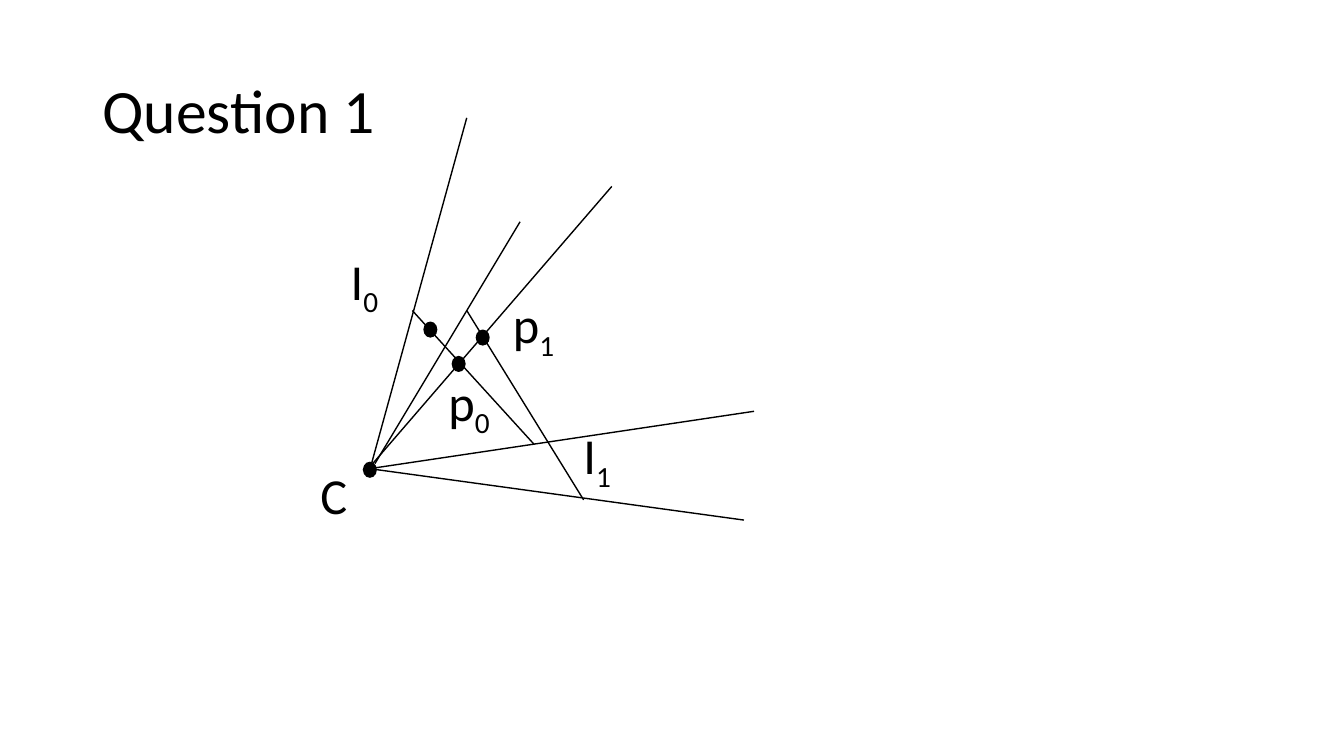
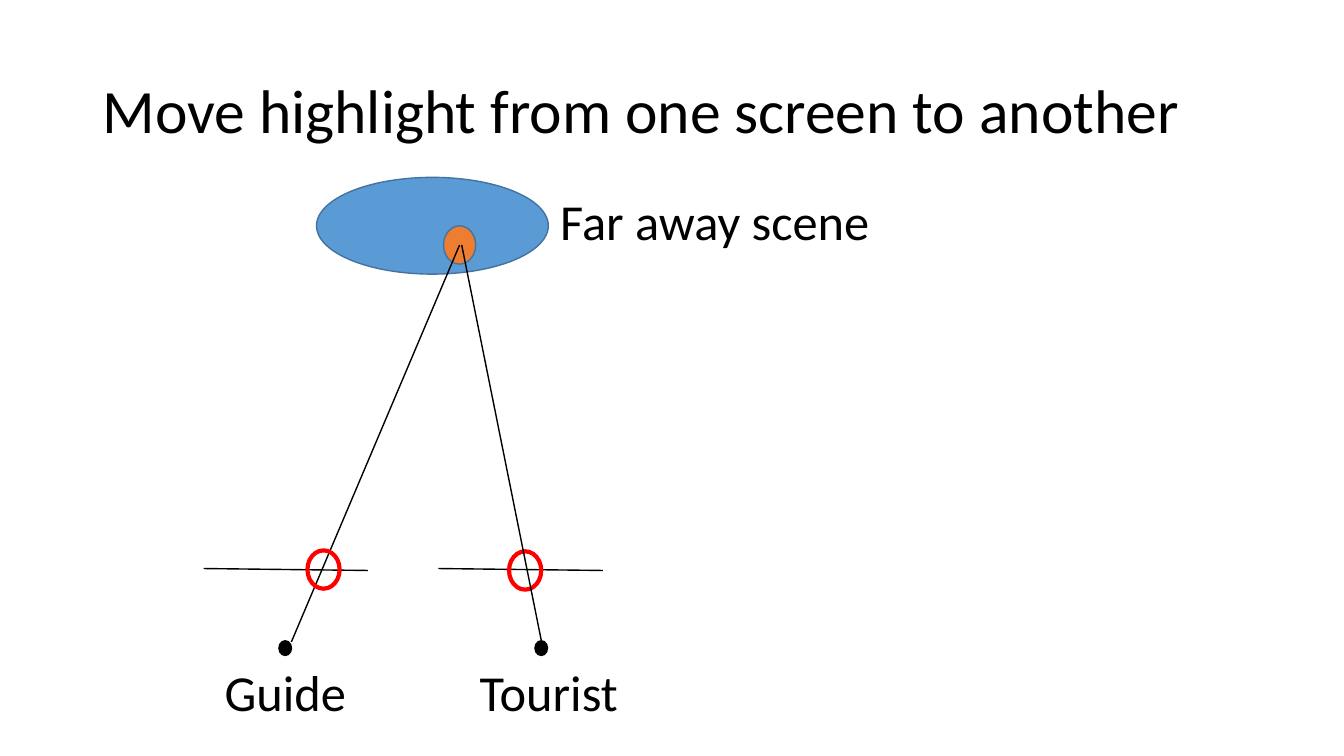
from typing import NamedTuple

from lxml import etree
from pptx import Presentation
from pptx.dml.color import RGBColor
from pptx.enum import shapes, text
from pptx.oxml.ns import qn
from pptx.util import Pt

BLACK, BLUE, ORANGE, RED, EDGE = "000000", "5B9BD5", "ED7D31", "FF0000", "43739E"
FONT = "Calibri"
DOT_W, DOT_H = 10, 11.5
SPOT_W, SPOT_H = 23, 27.4
LABEL_H = 51.1
SCREEN_GAP = 167.8


class Line(NamedTuple):
    x1: float
    y1: float
    x2: float
    y2: float


class Oval(NamedTuple):
    x: float
    y: float
    w: float = DOT_W
    h: float = DOT_H
    fill: str = BLACK
    edge: str = ""
    width: float = 1


class Label(NamedTuple):
    x: float
    y: float
    w: float
    words: str
    sub: str = ""


def color(code: str) -> RGBColor:
    return RGBColor.from_string(code)


def add_text(slide, box: tuple, size: float, words: str, sub: str = "", **frame):
    """Add a text box; sub follows the words as a subscript."""
    body = slide.shapes.add_textbox(*map(Pt, box)).text_frame
    for name, value in frame.items():
        setattr(body, name, value)
    para = body.paragraphs[0]
    for part in filter(None, (words, sub)):
        run = para.add_run()
        run.text = part
        for name, value in {"name": FONT, "size": Pt(size)}.items():
            setattr(run.font, name, value)
        run.font.color.rgb = color(BLACK)
    if sub:
        run._r.get_or_add_rPr().set("baseline", "-25000")
    return para


def add_title(slide, words: str) -> None:
    para = add_text(slide, (66.2, 28.8, 828, 104.4), 44, words, word_wrap=True,
                    vertical_anchor=text.MSO_ANCHOR.MIDDLE)
    para.line_spacing = 0.9


def add_label(slide, item: Label) -> None:
    add_text(slide, (item.x, item.y, item.w, LABEL_H), 36, item.words, item.sub,
             word_wrap=False, auto_size=text.MSO_AUTO_SIZE.SHAPE_TO_FIT_TEXT)


def add_line(slide, item: Line) -> None:
    line = slide.shapes.add_connector(shapes.MSO_CONNECTOR.STRAIGHT, *map(Pt, item))
    line.line.color.rgb = color(BLACK)
    line.line.width = Pt(1)
    etree.SubElement(line._element.spPr, qn("a:effectLst"))


def add_oval(slide, item: Oval) -> None:
    oval = slide.shapes.add_shape(shapes.MSO_SHAPE.OVAL, *map(Pt, item[:4]))
    oval.shadow.inherit = False
    if item.fill:
        oval.fill.solid()
        oval.fill.fore_color.rgb = color(item.fill)
    else:
        oval.fill.background()
    if item.edge:
        oval.line.color.rgb = color(item.edge)
        oval.line.width = Pt(item.width)
    else:
        oval.line.fill.background()


DRAW = {Line: add_line, Oval: add_oval, Label: add_label}


def ring(x: float, y: float) -> Oval:
    return Oval(x, y, SPOT_W, SPOT_H, "", RED, 3)


RAYS = [
    Line(265, 332.6, 437, 133.2),
    Line(259.2, 335.5, 538.6, 293.8),
    Line(294.5, 221.8, 381.6, 317.5),
    Line(264.2, 335.5, 333.4, 84.2),
    Line(333.4, 221.8, 416.9, 357.1),
    Line(267.8, 331.2, 371.5, 158.4),
    Line(531.4, 371.5, 269.3, 335.5),
    Oval(259.2, 329.8),
    Oval(322.6, 254.2),
    Oval(339.8, 235.4),
    Oval(302.4, 229.7),
    Label(221.8, 328.3, 33.8, "C"),
    Label(313.2, 261.4, 46.1, "p", "0"),
    Label(359.3, 205.9, 46.1, "p", "1"),
    Label(243.4, 175, 36, "I", "0"),
    Label(409.7, 299.5, 36, "I", "1"),
]

SCENE = [
    *(Line(145.4 + dx, 406.1, 262.8 + dx, 407.5) for dx in (0, SCREEN_GAP)),
    Oval(198.7, 457.2),
    Oval(381.6, 457.2),
    Oval(226.1, 126.7, 165.6, 69.1, BLUE, EDGE),
    Oval(316.8, 161.3, SPOT_W, SPOT_H, ORANGE, EDGE),
    Line(208.1, 458.6, 328.3, 175),
    ring(219.6, 393.1),
    ring(363.6, 393.8),
    Line(386.6, 457.2, 329.8, 175),
    Label(153.4, 468.7, 102.2, "Guide"),
    Label(335.5, 468.7, 114.5, "Tourist"),
    Label(393.1, 132.5, 237.6, "Far away scene"),
]

SLIDES = {
    "Question 1": RAYS,
    "Move highlight from one screen to another": SCENE,
}


def main() -> None:
    deck = Presentation()
    deck.slide_width, deck.slide_height = Pt(960), Pt(540)
    for title, items in SLIDES.items():
        slide = deck.slides.add_slide(deck.slide_layouts[6])
        add_title(slide, title)
        for item in items:
            DRAW[type(item)](slide, item)
    deck.save("out.pptx")


if __name__ == "__main__":
    main()
